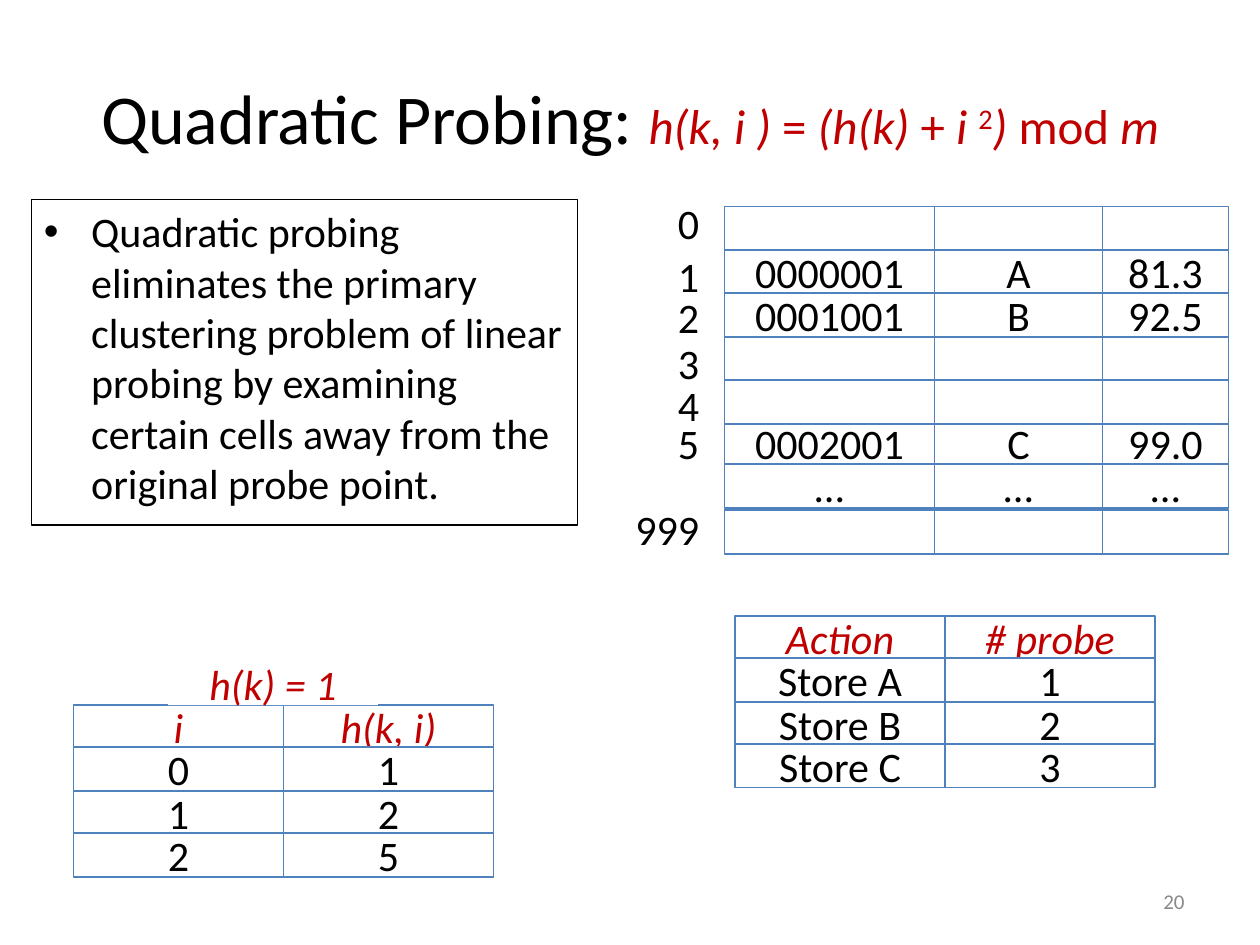
from lxml.etree import SubElement as Sub
from pptx import Presentation as Deck
from pptx.dml.color import RGBColor as Rgb
from pptx.enum.shapes import MSO_SHAPE as Kind
from pptx.enum.text import MSO_ANCHOR as Anchor, PP_ALIGN as Align
from pptx.oxml.ns import qn
from pptx.util import Pt

BLACK, RED, BLUE, WHITE, GREY = "000000", "C00000", "4F81BD", "FFFFFF", "898989"


def tint(code):
    return Rgb.from_string(code)


def apply(item, form):
    for name, value in form.items():
        setattr(item, name, value)


class Page:
    face = "Calibri"
    size = 24
    high = 25
    inset = {
        "margin_left": Pt(7.2), "margin_right": Pt(7.2),
        "margin_top": Pt(3.6), "margin_bottom": Pt(3.6),
    }

    def __init__(self, slide):
        self.slide = slide

    def run(self, para, text, color=BLACK, size=None, slant=False, lift=0):
        run = para.add_run()
        run.text = text
        form = {"name": self.face, "size": Pt(size or self.size), "italic": slant}
        apply(run.font, form)
        run.font.color.rgb = tint(color)
        if lift:
            run._r.get_or_add_rPr().set("baseline", str(lift * 1000))

    def place(self, shape, box):
        apply(shape, dict(zip(("left", "top", "width", "height"), map(Pt, box))))

    def frame(self, shape, align=Align.CENTER, wrap=False, anchor=Anchor.MIDDLE):
        frame = shape.text_frame
        apply(frame, {**self.inset, "word_wrap": wrap, "vertical_anchor": anchor})
        para = frame.paragraphs[0]
        para.alignment = align
        return para

    def title(self, box, parts):
        shape = self.slide.shapes.title
        self.place(shape, box)
        para = self.frame(shape, wrap=True)
        for text, form in parts:
            self.run(para, text, **form)

    def block(self, box, fill=None, line=None, width=1, kind=Kind.RECTANGLE):
        shape = self.slide.shapes.add_shape(kind, *map(Pt, box))
        shape.shadow.inherit = False
        if fill:
            shape.fill.solid()
            shape.fill.fore_color.rgb = tint(fill)
        else:
            shape.fill.background()
        if line:
            shape.line.color.rgb = tint(line)
            shape.line.width = Pt(width)
        else:
            shape.line.fill.background()
        return shape

    def cell(self, box, text="", line=BLUE, **form):
        shape = self.block(box, WHITE, line)
        if text:
            self.run(self.frame(shape), text, **form)

    def label(self, box, text):
        shape = self.block(box, kind=Kind.ROUNDED_RECTANGLE)
        self.run(self.frame(shape, Align.RIGHT), text)

    def bullet(self, box, text):
        shape = self.block(box, line=BLACK, width=0.75)
        para = self.frame(shape, Align.LEFT, True, Anchor.TOP)
        para.space_before = Pt(6)
        props = para._p.get_or_add_pPr()
        props.set("marL", str(Pt(27)))
        props.set("indent", str(-Pt(27)))
        Sub(props, qn("a:buFont"), typeface="Arial")
        Sub(props, qn("a:buChar"), char="•")
        self.run(para, text)

    def note(self, box, text, **form):
        shape = self.slide.shapes.add_textbox(*map(Pt, box))
        self.run(self.frame(shape, Align.RIGHT, True), text, **form)

    def grid(self, left, top, rows):
        for step, row in zip((0, 24, 49, 73), rows):
            form = {} if step else {"color": RED, "slant": True}
            for col, text in enumerate(row):
                self.cell((left + col * 120, top + step, 120, self.high), text, **form)

    def store(self, cols, rows):
        for top, _, _, texts in reversed(rows):
            for (left, wide), text in zip(cols, texts):
                self.cell((left, top, wide, self.high), text)
        for _, top, key, _ in rows:
            if key:
                self.label((366, top, 42, 28), key)


def main():
    deck = Deck()
    apply(deck, {"slide_width": Pt(720), "slide_height": Pt(540)})
    page = Page(deck.slides.add_slide(deck.slide_layouts[5]))

    math = {"color": RED, "size": 28}
    slant = {**math, "slant": True}
    page.title((36, 21.6, 648, 90), [
        ("Quadratic Probing: ", {"size": 40}),
        ("h(k, i ) ", slant), ("= ", math), ("(h(k) ", slant), ("+ ", math),
        ("i ", slant), ("2", {**math, "lift": 30}), (") ", slant),
        ("mod ", math), ("m", slant),
    ])
    page.bullet(
        (18, 114, 312, 186),
        "Quadratic probing eliminates the primary clustering problem of linear "
        "probing by examining certain cells away from the original probe point.",
    )

    none = ("", "", "")
    page.store([(414, 120), (534, 96), (630, 72)], [
        (118, 113, "0", none),
        (142.6, 143.4, "1", ("0000001", "A", "81.3")),
        (167.6, 167.2, "2", ("0001001", "B", "92.5")),
        (192.4, 193.2, "3", none),
        (217.2, 217.4, "4", none),
        (240.4, 239.2, "5", ("0002001", "C", "99.0")),
        (265.2, None, "", ("…", "…", "…")),
        (291.6, 288, "999", none),
    ])
    page.grid(420, 352, [
        ("Action", "# probe"), ("Store A", "1"), ("Store B", "2"), ("Store C", "3"),
    ])
    page.grid(42, 403, [("i", "h(k, i)"), ("0", "1"), ("1", "2"), ("2", "5")])
    page.cell((96, 378, 120, page.high), "h(k) = 1", None, color=RED, slant=True)
    page.note((516, 500.4, 168, 28.8), "20", color=GREY, size=12)
    deck.save("out.pptx")


if __name__ == "__main__":
    main()
